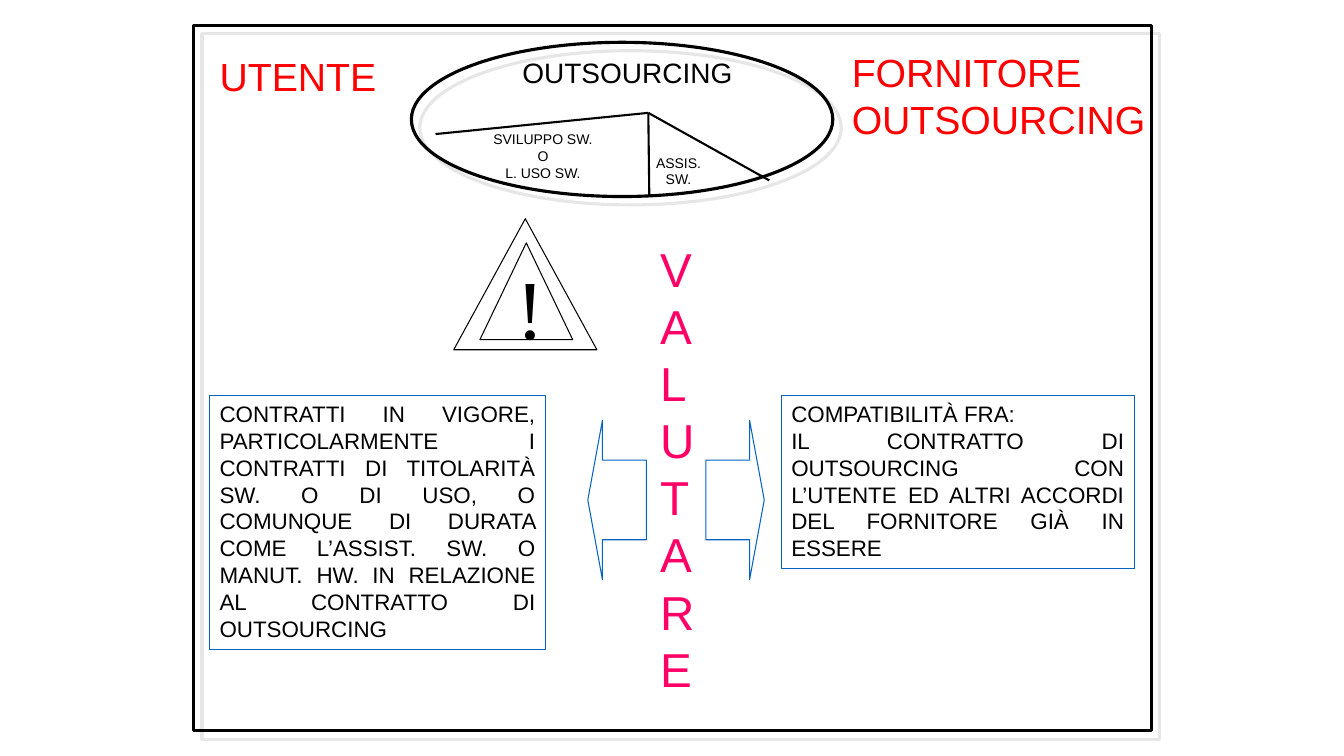
from dataclasses import dataclass

from lxml.etree import SubElement
from pptx import Presentation
from pptx.dml.color import RGBColor
from pptx.enum.shapes import MSO_CONNECTOR, MSO_SHAPE
from pptx.enum.text import MSO_ANCHOR, MSO_AUTO_SIZE, PP_ALIGN
from pptx.oxml.ns import qn
from pptx.util import Inches, Pt

BLACK, RED, PINK, BLUE, GREY = "000000", "FF0000", "FF0066", "0563C1", "E7E6E6"
LEFT, CENTER, JUSTIFY = PP_ALIGN.LEFT, PP_ALIGN.CENTER, PP_ALIGN.JUSTIFY
Box = tuple[float, float, float, float]


@dataclass(frozen=True)
class Outline:
    kind: MSO_SHAPE
    box: Box
    color: str = BLACK
    width: float = 0.75
    shadow: bool = False


@dataclass(frozen=True)
class Label:
    text: str
    box: Box
    size: float
    color: str = BLACK
    align: PP_ALIGN = LEFT
    font: str = "Arial"
    framed: bool = False


OUTLINES = [
    Outline(MSO_SHAPE.RECTANGLE, (1.92, 0.25, 9.5, 7), width=2.25, shadow=True),
    Outline(MSO_SHAPE.OVAL, (4.08, 0.42, 4.18, 1.53), width=2.25, shadow=True),
    Outline(MSO_SHAPE.ISOSCELES_TRIANGLE, (4.5, 2.17, 1.42, 1.3)),
    Outline(MSO_SHAPE.ISOSCELES_TRIANGLE, (4.76, 2.41, 0.92, 0.96)),
    Outline(MSO_SHAPE.LEFT_ARROW, (5.83, 4.17, 0.58, 1.58), BLUE),
    Outline(MSO_SHAPE.RIGHT_ARROW, (7, 4.17, 0.58, 1.58), BLUE),
]
ARROWS = (MSO_SHAPE.LEFT_ARROW, MSO_SHAPE.RIGHT_ARROW)

SLICE_CENTER = (6.43, 1.12)
SLICE_ENDS = [(7.63, 1.79), (4.32, 1.33), (6.44, 1.94)]

TITLE = Label("OUTSOURCING", (5.08, 0.5, 2.31, 0.44), 20)
LABELS = [
    Label("UTENTE", (2.08, 0.47, 1.99, 0.57), 28, RED),
    Label("FORNITORE\nOUTSOURCING", (8.35, 0.43, 3.36, 1.04), 28, RED),
    Label("SVILUPPO SW.\nO\nL. USO SW.", (4.58, 1.25, 1.61, 0.6), 10, align=CENTER),
    Label("ASSIS.\nSW.", (6.08, 1.48, 1.3, 0.43), 10, align=CENTER),
    Label("!", (5.02, 2.49, 0.3, 1.1), 60, font="Times New Roman"),
    Label("\n".join("VALUTARE"), (6.45, 2.33, 0.55, 4.68), 34, PINK),
    Label(
        "CONTRATTI IN VIGORE, PARTICOLARMENTE I CONTRATTI DI TITOLARITÀ SW. "
        "O DI USO, O COMUNQUE DI DURATA COME L’ASSIST. SW. O MANUT. HW. "
        "IN RELAZIONE AL CONTRATTO DI OUTSOURCING",
        (2.08, 3.92, 3.33, 2.52), 16, align=JUSTIFY, framed=True,
    ),
    Label(
        "COMPATIBILITÀ FRA:\nIL CONTRATTO DI OUTSOURCING CON L’UTENTE "
        "ED ALTRI ACCORDI DEL FORNITORE GIÀ IN ESSERE",
        (7.75, 3.92, 3.5, 1.72), 16, align=JUSTIFY, framed=True,
    ),
]


def rgb(color: str) -> RGBColor:
    return RGBColor.from_string(color)


def add_shadow(sp) -> None:
    effects = sp._element.spPr.find(qn("a:effectLst"))
    shadow = SubElement(effects, qn("a:outerShdw"), dist=str(Pt(8.5)),
                        dir="2700000", algn="ctr", rotWithShape="0")
    SubElement(shadow, qn("a:srgbClr"), val=GREY)


def add_outline(slide, outline: Outline):
    sp = slide.shapes.add_shape(outline.kind, *map(Inches, outline.box))
    sp.shadow.inherit = False
    sp.fill.background()
    sp.line.color.rgb = rgb(outline.color)
    sp.line.width = Pt(outline.width)
    if outline.kind in ARROWS:
        sp.adjustments[0], sp.adjustments[1] = 0.5, 0.25
    if outline.shadow:
        add_shadow(sp)
    return sp


def add_slice_line(slide, end: tuple[float, float]) -> None:
    line = slide.shapes.add_connector(
        MSO_CONNECTOR.STRAIGHT, *map(Inches, SLICE_CENTER + end))
    line.line.color.rgb = rgb(BLACK)
    line.line.width = Pt(1.5)
    SubElement(line._element.spPr, qn("a:effectLst"))


def write_label(sp, label: Label) -> None:
    tf = sp.text_frame
    tf.text = label.text
    tf.word_wrap = True
    tf.auto_size = MSO_AUTO_SIZE.SHAPE_TO_FIT_TEXT
    tf.vertical_anchor = MSO_ANCHOR.TOP
    for p in tf.paragraphs:
        p.alignment = label.align
        for r in p.runs:
            r.font.name = label.font
            r.font.size = Pt(label.size)
            r.font.color.rgb = rgb(label.color)


def add_label(slide, label: Label) -> None:
    if label.framed:
        sp = add_outline(slide, Outline(MSO_SHAPE.RECTANGLE, label.box, BLUE))
    else:
        sp = slide.shapes.add_textbox(*map(Inches, label.box))
    write_label(sp, label)


def main() -> None:
    prs = Presentation()
    prs.slide_width, prs.slide_height = Inches(13.33), Inches(7.5)
    slide = prs.slides.add_slide(prs.slide_layouts[5])
    title = slide.shapes.title
    title.left, title.top, title.width, title.height = map(Inches, TITLE.box)
    write_label(title, TITLE)
    for outline in OUTLINES:
        add_outline(slide, outline)
    for end in SLICE_ENDS:
        add_slice_line(slide, end)
    for label in LABELS:
        add_label(slide, label)
    prs.save("out.pptx")


if __name__ == "__main__":
    main()
